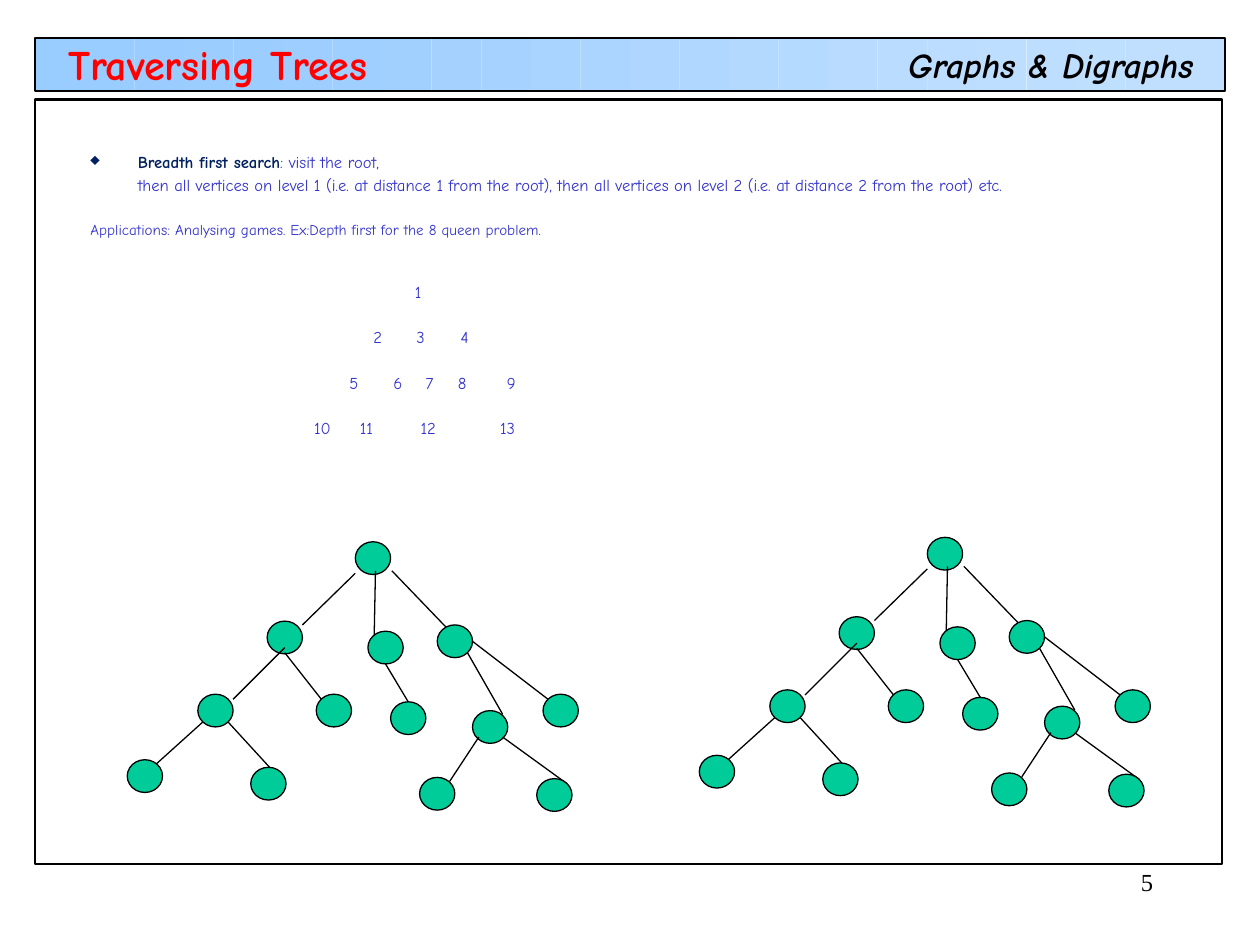
import math

from lxml import etree
from pptx import Presentation
from pptx import util as u
from pptx.dml.color import RGBColor
from pptx.enum import shapes, text
from pptx.oxml.ns import qn

BLACK = RGBColor(0, 0, 0)
RED = RGBColor(0xFF, 0, 0)
NAVY = RGBColor(0, 0x20, 0x60)
BLUE = RGBColor(0x33, 0x33, 0xCC)
GREEN = RGBColor(0, 0xCC, 0x99)
BAND_START = RGBColor(0x99, 0xCC, 0xFF)
BAND_END = RGBColor(0xC0, 0xDF, 0xFF)

COLUMNS = 100  # square grid cells across the slide
BAND = (2.8, 3, 94.4, 4.2)
STRIPS = 24
NODE_SIZE = (2.8, 2.6)
TREE_ROOTS = [(28.2, 43), (73.6, 42.65)]
# Line start, line end and child node's corner, all measured from the root's corner
BRANCHES = [
    ((0, 2.5), (-4.2, 6.6), (-7, 6.3)),
    ((-5.6, 8.4), (-9.7, 12.5), (-12.5, 12.1)),
    ((-12.1, 14.3), (-17.2, 18.9), (-18.1, 17.3)),
    ((-10.1, 14.3), (-6.8, 17.9), (-8.3, 17.9)),
    ((-5.6, 8.8), (-2.3, 13), (-3.1, 12.1)),
    ((1.6, 2.3), (1.5, 7.5), (1, 7.1)),
    ((2.9, 2.3), (7.9, 7.5), (6.5, 6.6)),
    ((2.4, 9.7), (4.2, 12.7), (2.8, 12.7)),
    ((8.9, 8.8), (11.7, 13.7), (9.3, 13.4)),
    ((9.8, 15.5), (7.5, 19), (5.1, 18.7)),
    ((11.7, 15.5), (16.8, 19.2), (14.4, 18.8)),
    ((9.3, 7.9), (15.3, 12.5), (14.9, 12.1)),
]
# Visiting order by level: number and the column of its centre, from the text's left edge
LEVELS = [
    [("1", 26)],
    [("2", 22.8), ("3", 26.2), ("4", 29.7)],
    [("5", 20.9), ("6", 24.4), ("7", 26.9), ("8", 29.5), ("9", 33.4)],
    [("10", 18.4), ("11", 21.9), ("12", 26.8), ("13", 33.1)],
]


class SlideBuilder:
    """Draws on one slide, with lengths in grid cells."""

    font_name = "Comic Neue"

    def __init__(self, presentation):
        self.cell = presentation.slide_width / COLUMNS
        self.slide = presentation.slides.add_slide(presentation.slide_layouts[5])

    def lengths(self, cells):
        return [u.Emu(round(value * self.cell)) for value in cells]

    def shape(self, preset, box, fill=None, line_width=None):
        shape = self.slide.shapes.add_shape(preset, *self.lengths(box))
        shape.shadow.inherit = False
        if fill is None:
            shape.fill.background()
        else:
            shape.fill.solid()
            shape.fill.fore_color.rgb = fill
        if line_width is None:
            shape.line.fill.background()
        else:
            shape.line.color.rgb = BLACK
            shape.line.width = u.Pt(line_width)

    def line(self, start, end):
        connector = self.slide.shapes.add_connector(
            shapes.MSO_CONNECTOR.STRAIGHT, *self.lengths(start + end))
        connector.line.color.rgb = BLACK
        connector.line.width = u.Pt(0.75)
        etree.SubElement(connector._element.spPr, qn("a:effectLst"))

    def style(self, font, size, color, bold=None, italic=None, name=None):
        font.name = name or self.font_name
        font.size = u.Pt(size)
        font.color.rgb = color
        font.bold = bold
        font.italic = italic

    def title(self, box, words):
        title = self.slide.shapes.title
        title.left, title.top, title.width, title.height = self.lengths(box)
        frame = title.text_frame
        frame.text = words
        frame.auto_size = text.MSO_AUTO_SIZE.NONE
        frame.vertical_anchor = text.MSO_ANCHOR.MIDDLE
        frame.paragraphs[0].alignment = text.PP_ALIGN.LEFT
        self.style(frame.paragraphs[0].font, 24, RED, bold=True)

    def text_box(self, box, wrap=True):
        frame = self.slide.shapes.add_textbox(*self.lengths(box)).text_frame
        frame.word_wrap = wrap
        return frame

    def label(self, box, words, size, wrap=True, align=None, **style):
        paragraph = self.text_box(box, wrap).paragraphs[0]
        paragraph.text = words
        paragraph.alignment = align
        self.style(paragraph.font, size, BLACK, **style)

    def body_paragraph(self, frame, words, space_before, size=9.5, indent=0):
        paragraph = frame.paragraphs[0]
        if paragraph.runs:
            paragraph = frame.add_paragraph()
        paragraph.add_run().text = words
        paragraph.line_spacing = 0.7
        paragraph.space_before = u.Pt(space_before)
        self.style(paragraph.font, size, BLUE)
        paragraph._p.get_or_add_pPr().set("marL", str(self.lengths([indent])[0]))
        return paragraph

    def bullet(self, paragraph, hang, color):
        properties = paragraph._p.get_or_add_pPr()
        properties.set("indent", str(-self.lengths([hang])[0]))
        mark = etree.Element(qn("a:buChar"), char="♦")
        bullet_color = etree.Element(qn("a:buClr"))
        etree.SubElement(bullet_color, qn("a:srgbClr"), val=str(color))
        defaults = properties.find(qn("a:defRPr"))
        defaults.addprevious(bullet_color)
        defaults.addprevious(mark)

    def centre_tabs(self, paragraph, columns):
        properties = paragraph._p.get_or_add_pPr()
        stops = etree.Element(qn("a:tabLst"))
        for position in self.lengths(columns):
            etree.SubElement(stops, qn("a:tab"), pos=str(position), algn="ctr")
        properties.find(qn("a:defRPr")).addprevious(stops)

    def tree(self, root):
        def from_root(offset):
            return root[0] + offset[0], root[1] + offset[1]

        ellipse = shapes.MSO_SHAPE.OVAL
        self.shape(ellipse, root + NODE_SIZE, GREEN, 0.75)
        for start, end, node in BRANCHES:
            self.line(from_root(start), from_root(end))
            self.shape(ellipse, from_root(node) + NODE_SIZE, GREEN, 0.75)


def draw_frame(builder):
    rectangle = shapes.MSO_SHAPE.RECTANGLE
    left, top, width, height = BAND
    strip_width = width / STRIPS
    for index in range(STRIPS):
        share = (1 - math.cos(math.pi * index / (STRIPS - 1))) / 2
        color = RGBColor(*(round(a + (b - a) * share)
                           for a, b in zip(BAND_START, BAND_END)))
        builder.shape(rectangle, (left + index * strip_width, top, strip_width, height), color)
    builder.shape(rectangle, BAND, line_width=1.25)
    builder.shape(rectangle, (2.8, 7.9, 94.2, 60.7), line_width=1.25)
    builder.label((71.1, 3, 24.8, 4.4), "Graphs & Digraphs", 20, wrap=False,
                  bold=True, italic=True)
    builder.label((79.2, 68.3, 13.3, 5), "5", 14, align=text.PP_ALIGN.RIGHT,
                  name="Times New Roman")


def draw_body(builder):
    frame = builder.text_box((6.2, 12, 90.6, 25.1))
    first = builder.body_paragraph(frame, "Breadth first search", 5, indent=3.75)
    builder.style(first.runs[0].font, 9.5, NAVY, bold=True)
    first.add_run().text = ": visit the root,"
    builder.bullet(first, 3.75, NAVY)
    builder.body_paragraph(
        frame, "then all vertices on level 1 (i.e. at distance 1 from the root), "
        "then all vertices on level 2 (i.e. at distance 2 from the root) etc.", 5, indent=3.75)
    builder.body_paragraph(
        frame, "Applications: Analysing games. Ex:Depth first for the 8 queen problem.",
        18, size=8.6)
    for index, level in enumerate(LEVELS):
        numbers, columns = zip(*level)
        row = builder.body_paragraph(frame, "\t" + "\t".join(numbers), 18 if index else 28)
        builder.centre_tabs(row, columns)


def main():
    presentation = Presentation()
    presentation.slide_width, presentation.slide_height = u.Inches(10), u.Inches(7.5)
    builder = SlideBuilder(presentation)
    draw_frame(builder)
    builder.title((4.4, 3.8, 51.7, 2.5), "Traversing Trees")
    # The title placeholder comes first in the tree; bring it above the band
    title = builder.slide.shapes.title._element
    title.getparent().append(title)
    draw_body(builder)
    for root in TREE_ROOTS:
        builder.tree(root)
    presentation.save("out.pptx")


if __name__ == "__main__":
    main()
